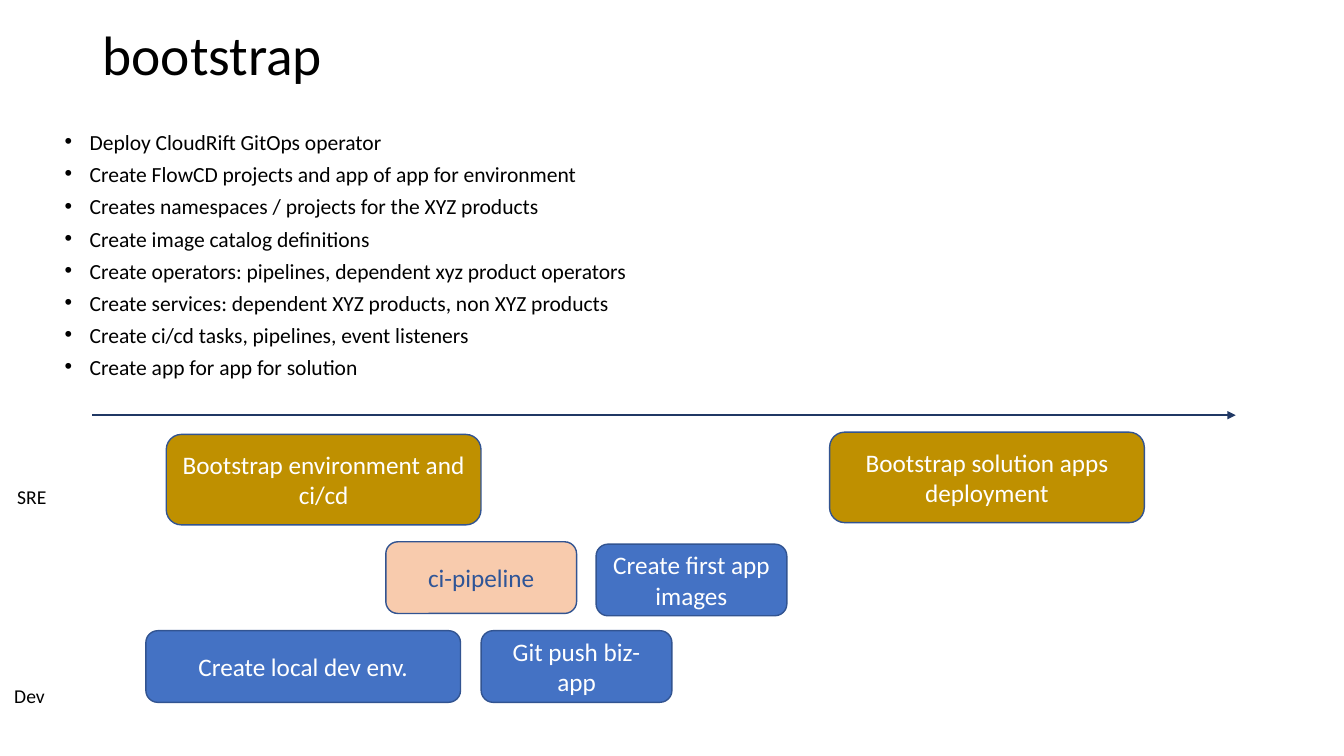
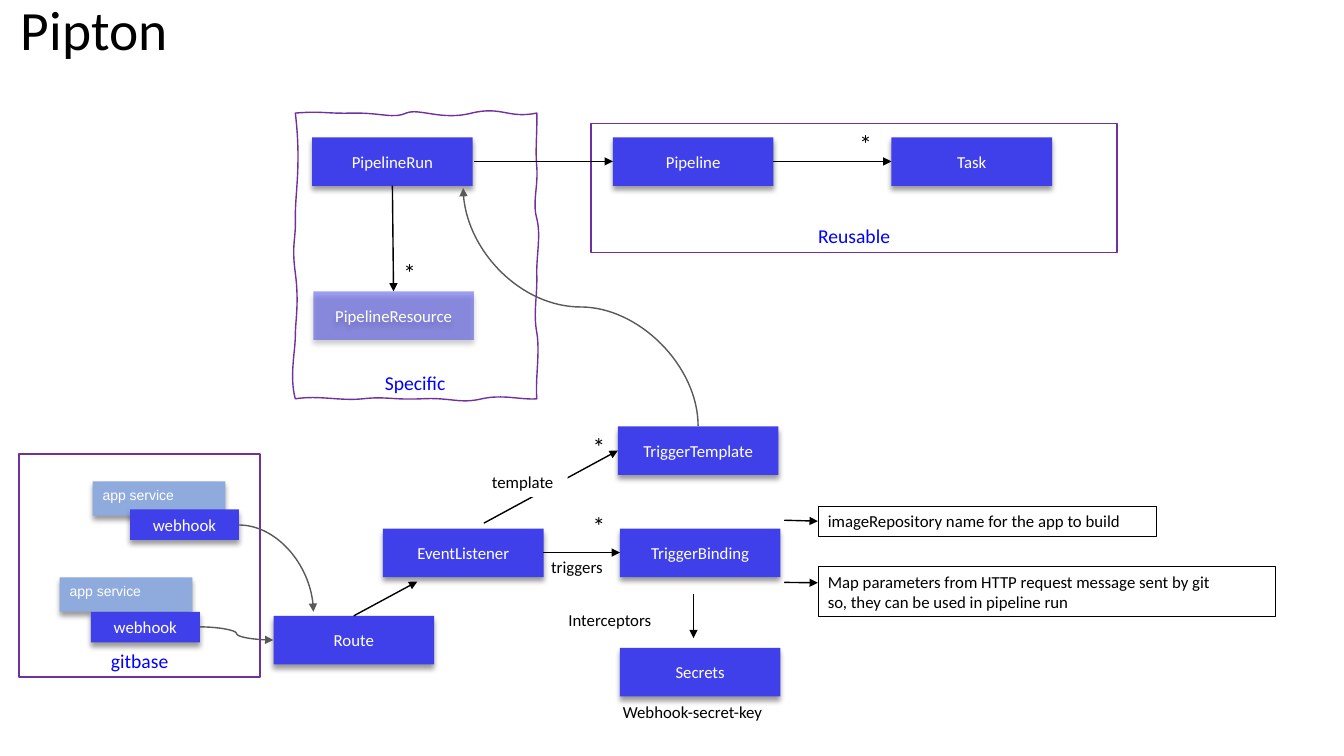
"""Build two slides: a bootstrap timeline and a pipeline trigger diagram."""
from lxml import etree
from pptx import Presentation
from pptx.dml.color import RGBColor
from pptx.enum.shapes import MSO_CONNECTOR, MSO_SHAPE
from pptx.enum.text import MSO_ANCHOR, MSO_AUTO_SIZE, PP_ALIGN
from pptx.oxml.ns import qn
from pptx.util import Pt

BLACK, WHITE, GREY = "000000", "FFFFFF", "595959"
GOLD, BLUE, PEACH, NAVY, EDGE = "BF9000", "4472C4", "F8CBAD", "203864", "325491"
INDIGO, SKY, PURPLE, LINK = "4040EA", "8FAADC", "7030A0", "0000FF"
color = RGBColor.from_string


def dress(shape, text, size, ink=WHITE, fill=None, outline=None, weight=1,
          align=PP_ALIGN.CENTER, anchor=MSO_ANCHOR.MIDDLE, font="Calibri"):
    """Set the fill, outline and text of a shape."""
    shape.shadow.inherit = False
    if fill:
        shape.fill.solid()
        shape.fill.fore_color.rgb = color(fill)
    else:
        shape.fill.background()
    if outline:
        shape.line.color.rgb = color(outline)
        shape.line.width = Pt(weight)
    else:
        shape.line.fill.background()
    frame = shape.text_frame
    frame.text = text
    frame.word_wrap = True
    frame.vertical_anchor = anchor
    for paragraph in frame.paragraphs:
        paragraph.alignment = align
        paragraph.font.size = Pt(size)
        paragraph.font.name = font
        paragraph.font.color.rgb = color(ink)
    return shape


def arrow(slide, ends, ink=BLACK, weight=1, kind=MSO_CONNECTOR.STRAIGHT):
    """Add a connector with a triangle at its end."""
    connector = slide.shapes.add_connector(kind, *map(Pt, ends))
    connector.line.color.rgb = color(ink)
    connector.line.width = Pt(weight)
    properties = connector._element.spPr
    etree.SubElement(properties.find(qn("a:ln")), qn("a:tailEnd"), type="triangle")
    etree.SubElement(properties, qn("a:effectLst"))
    return connector


deck = Presentation()
deck.slide_width, deck.slide_height = Pt(960), Pt(540)
slides = []
for heading, left, top in [("bootstrap", 66, 28.8), ("Pipton", 7.7, 10.8)]:
    slide = deck.slides.add_slide(deck.slide_layouts[5])
    title = slide.shapes.title
    title.left, title.top, title.width, title.height = map(Pt, (left, top, 828, 25))
    dress(title, heading, 39.6, BLACK, align=PP_ALIGN.LEFT)
    title.text_frame.auto_size = MSO_AUTO_SIZE.NONE
    title.text_frame.paragraphs[0].line_spacing = 0.9
    slides.append(slide)
timeline, diagram = slides

steps = [
    "Deploy CloudRift GitOps operator",
    "Create FlowCD projects and app of app for environment",
    "Creates namespaces / projects for the XYZ products",
    "Create image catalog definitions",
    "Create operators: pipelines, dependent xyz product operators",
    "Create services: dependent XYZ products, non XYZ products",
    "Create ci/cd tasks, pipelines, event listeners",
    "Create app for app for solution",
]
step_list = timeline.shapes.add_textbox(Pt(39), Pt(93.8), Pt(855), Pt(195))
dress(step_list, "\n".join(steps), 15.4, BLACK, align=PP_ALIGN.LEFT, anchor=MSO_ANCHOR.TOP)
for paragraph in step_list.text_frame.paragraphs:
    paragraph.line_spacing = 0.7
    paragraph.space_before = Pt(10)
    layout = paragraph._p.get_or_add_pPr()
    layout.set("marL", str(Pt(18)))
    layout.set("indent", str(Pt(-18)))
    bullet_font = etree.Element(qn("a:buFont"), typeface="Arial")
    bullet = etree.Element(qn("a:buChar"), char="•")
    layout.find(qn("a:spcBef")).addnext(bullet_font)
    bullet_font.addnext(bullet)

for text, left, top, width, height, fill, ink in [
    ("Bootstrap environment and ci/cd", 118.8, 310.3, 224.8, 64.6, GOLD, WHITE),
    ("Bootstrap solution apps deployment", 592.6, 308.7, 224.8, 64.6, GOLD, WHITE),
    ("ci-pipeline", 275.6, 387, 136.3, 51.2, PEACH, "2F5597"),
    ("Create first app images", 425.8, 388.7, 136.3, 51.2, BLUE, WHITE),
    ("Create local dev env.", 104.2, 450.5, 224.8, 51.2, BLUE, WHITE),
    ("Git push biz-app", 343.7, 450.5, 136.3, 51.2, BLUE, WHITE),
]:
    stage = timeline.shapes.add_shape(
        MSO_SHAPE.ROUNDED_RECTANGLE, Pt(left), Pt(top), Pt(width), Pt(height))
    dress(stage, text, 18, ink, fill, EDGE)
arrow(timeline, (66, 296.6, 882.7, 296.6), NAVY, 1.25)

for text, left, top, width, height in [
    ("Reusable", 422.2, 88.4, 375.8, 91.8),
    ("gitbase", 13.7, 324.3, 172.1, 159.3),
]:
    group = diagram.shapes.add_shape(
        MSO_SHAPE.RECTANGLE, Pt(left), Pt(top), Pt(width), Pt(height))
    dress(group, text, 14, LINK, outline=PURPLE, anchor=MSO_ANCHOR.BOTTOM)

wavy_start = (211, 80.8)
wavy_curves = [
    ((231.1, 79.2), (232.6, 81.4), (252.7, 80.8)),
    ((272.2, 80.6), (281.5, 85), (290.2, 80.8)),
    ((299.5, 77), (315.4, 86.4), (337, 80.8)),
    ((358.6, 75.6), (362.9, 85), (383.5, 80.8)),
    ((383.8, 95.8), (382.3, 106.6), (383.5, 119.5)),
    ((384.5, 133.2), (380.2, 144.7), (383.5, 156.2)),
    ((386.6, 168.5), (383, 182.9), (383.5, 197.3)),
    ((383.8, 211.7), (380.9, 223.9), (383.5, 237.6)),
    ((385.9, 252), (382.3, 270.7), (383.5, 284.9)),
    ((372.2, 285.8), (359.3, 281.5), (344.2, 284.9)),
    ((328.3, 288.7), (321.8, 283.7), (301, 284.9)),
    ((280.1, 285.8), (275.8, 283), (259.2, 284.9)),
    ((242.6, 286.6), (228.2, 282.2), (211, 284.9)),
    ((206.6, 269.3), (211, 250.6), (211, 239.8)),
    ((211, 229), (213.8, 216.7), (211, 195.1)),
    ((208.1, 173.5), (211.7, 171.4), (211, 154.1)),
    ((211, 136.8), (215.3, 116.6), wavy_start),
]
builder = diagram.shapes.build_freeform(*map(Pt, wavy_start))
builder.add_line_segments(
    [tuple(map(Pt, point)) for curve in wavy_curves for point in curve], close=True)
specific = dress(builder.convert_to_shape(), "Specific", 14, LINK, outline=PURPLE,
                 anchor=MSO_ANCHOR.BOTTOM)
specific.text_frame.margin_bottom = Pt(7.2)
segments = list(specific._element.iter(qn("a:lnTo")))
for index in range(0, len(segments), 3):
    bezier = etree.Element(qn("a:cubicBezTo"))
    segments[index].addprevious(bezier)
    for segment in segments[index:index + 3]:
        bezier.append(segment[0])
        segment.getparent().remove(segment)

node, hook, app = (114.7, 34.6), (77.8, 21.8), (94.8, 24.5)
for text, left, top, size in [
    ("PipelineRun", 223, 98.1, node),
    ("Pipeline", 437.8, 98.1, node),
    ("Task", 636.8, 98.1, node),
    ("PipelineResource", 223.9, 208.2, node),
    ("TriggerTemplate", 441.4, 304.6, node),
    ("EventListener", 273.6, 377.6, node),
    ("TriggerBinding", 442.8, 377.6, node),
    ("Route", 195.4, 439.9, node),
    ("Secrets", 442.8, 462.8, node),
    ("app service", 66.2, 343.9, app),
    ("webhook", 92.9, 363.9, hook),
    ("app service", 42.7, 412.4, app),
    ("webhook", 64.9, 437, hook),
]:
    block = diagram.shapes.add_shape(
        MSO_SHAPE.RECTANGLE, Pt(left), Pt(top), *map(Pt, size))
    if size == app:
        dress(block, text, 10, fill=SKY, align=PP_ALIGN.LEFT,
              anchor=MSO_ANCHOR.TOP, font="Arial")
    else:
        dress(block, text, 12, fill=INDIGO)
    properties = block._element.spPr
    shadow = etree.SubElement(
        properties.find(qn("a:effectLst")), qn("a:outerShdw"), blurRad=str(Pt(4)),
        dist=str(Pt(3)), dir="5400000", algn="t", rotWithShape="0")
    shade = etree.SubElement(shadow, qn("a:srgbClr"), val=BLACK)
    etree.SubElement(shade, qn("a:alpha"), val="40000")
    if text == "PipelineResource":
        tint = properties.find(qn("a:solidFill")).find(qn("a:srgbClr"))
        etree.SubElement(tint, qn("a:alpha"), val="49000")

for ends in [
    (338.4, 115.3, 437.8, 115.3),
    (552.4, 115.3, 636.8, 115.3),
    (280.3, 132.6, 281.1, 208.2),
    (345.6, 373.7, 441.4, 321.8),
    (388.1, 394.7, 442.8, 394.7),
    (252.7, 439.9, 298.1, 415.4),
    (495.4, 424.1, 495.4, 455.8),
    (560.2, 371.6, 584.2, 372.3),
    (560.2, 416, 584.2, 416.3),
]:
    arrow(diagram, ends)

arrow(diagram, (142.6, 447.8, 195.3, 457.2), GREY, kind=MSO_CONNECTOR.CURVE)
template_to_run = arrow(
    diagram, (329.8, 303.2, 499.7, 135.4), GREY, kind=MSO_CONNECTOR.CURVE)
template_to_run._element.spPr.find(qn("a:xfrm")).set("rot", "16200000")
hook_to_route = arrow(
    diagram, (170.6, 375, 223.9, 437), GREY, kind=MSO_CONNECTOR.CURVE)
hook_to_route._element.spPr.find(qn("a:prstGeom")).set("prst", "curvedConnector2")

star = (21.6, 28.8)
for slide, text, left, top, width, height, size, fill, outline in [
    (timeline, "SRE", 5.2, 342.7, 35.3, 24.5, 14, None, None),
    (timeline, "Dev", 3.1, 485, 36.7, 24.5, 14, None, None),
    (diagram, "*", 606.8, 88.2, *star, 18, None, None),
    (diagram, "*", 281, 180.1, *star, 18, None, None),
    (diagram, "*", 416.2, 304.6, *star, 18, None, None),
    (diagram, "*", 416.2, 361.1, *star, 18, None, None),
    (diagram, "template", 344.2, 333.4, 61.2, 21.6, 12, WHITE, None),
    (diagram, "triggers", 386.6, 394.3, 54.7, 21.6, 12, None, None),
    (diagram, "Interceptors", 398.9, 432.3, 78.5, 21.6, 12, WHITE, None),
    (diagram, "Webhook-secret-key", 437.8, 497.5, 125.3, 21.6, 12, None, None),
    (diagram, "imageRepository name for the app to build",
     584.2, 361.4, 242, 21.6, 12, None, BLACK),
    (diagram, "Map parameters from HTTP request message sent by git\n"
     "so, they can be used in pipeline run", 584.2, 404.5, 326.4, 36, 12, None, BLACK),
]:
    label = slide.shapes.add_textbox(Pt(left), Pt(top), Pt(width), Pt(height))
    dress(label, text, size, BLACK, fill, outline, 0.25,
          align=PP_ALIGN.LEFT, anchor=MSO_ANCHOR.TOP)
    label.text_frame.word_wrap = outline is not None
    label.text_frame.auto_size = MSO_AUTO_SIZE.SHAPE_TO_FIT_TEXT

deck.save("out.pptx")
